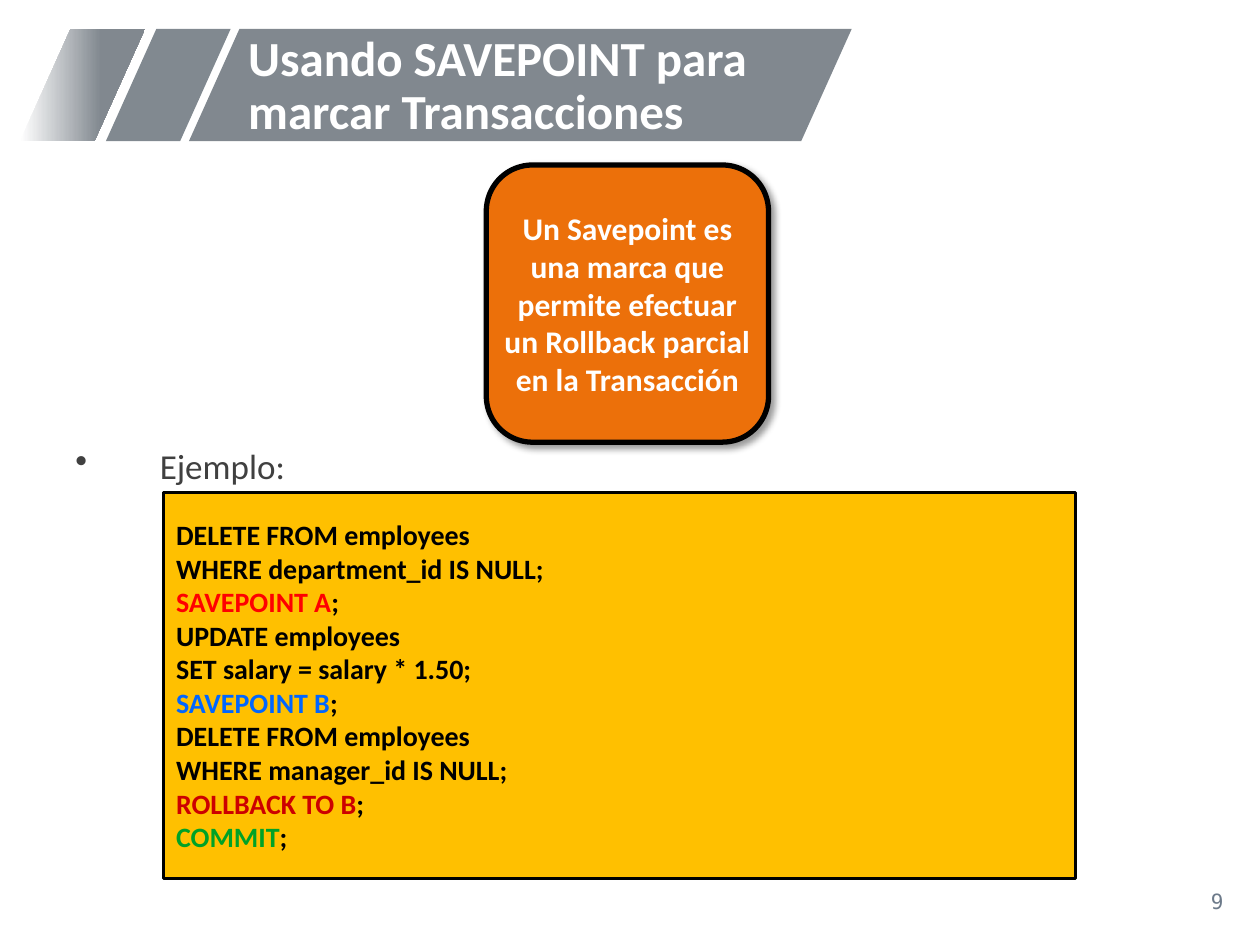
"""Build the slide on marking transactions with SAVEPOINT."""
from lxml import etree
from pptx import Presentation
from pptx import util as u
from pptx.dml.color import RGBColor
from pptx.enum import shapes, text
from pptx.oxml import ns

WHITE = RGBColor(0xFF, 0xFF, 0xFF)
BLACK = RGBColor(0x00, 0x00, 0x00)
BANNER_GRAY = RGBColor(0x81, 0x88, 0x8F)
STRIPE_GRAY = RGBColor(0x81, 0x89, 0x90)
NUMBER_GRAY = RGBColor(0x6C, 0x7A, 0x8A)
TEXT_GRAY = RGBColor(0x40, 0x40, 0x40)
ORANGE = RGBColor(0xEC, 0x70, 0x0A)
AMBER = RGBColor(0xFF, 0xC0, 0x00)
RED = RGBColor(0xFF, 0x00, 0x00)
BLUE = RGBColor(0x00, 0x66, 0xFF)
DARK_RED = RGBColor(0xCC, 0x00, 0x00)
GREEN = RGBColor(0x00, 0xA2, 0x27)


def write(shape, lines, size, color=BLACK, font="Calibri", bold=False,
          align=text.PP_ALIGN.LEFT, spacing=None, side=0.1):
    frame = shape.text_frame
    frame.word_wrap = True
    frame.auto_size = text.MSO_AUTO_SIZE.NONE
    frame.vertical_anchor = text.MSO_ANCHOR.MIDDLE
    frame.margin_left = frame.margin_right = u.Inches(side)
    frame.margin_top = frame.margin_bottom = u.Inches(0.05)
    for index, runs in enumerate(lines):
        paragraph = frame.add_paragraph() if index else frame.paragraphs[0]
        paragraph.alignment = align
        paragraph.line_spacing = spacing
        for words, run_color in runs:
            run = paragraph.add_run()
            run.text = words
            run.font.name = font
            run.font.size = u.Pt(size)
            run.font.bold = bold
            run.font.color.rgb = run_color or color


def add_box(kind, left, top, width, height, fill, line_width=0):
    shape = slide.shapes.add_shape(
        kind, u.Inches(left), u.Inches(top), u.Inches(width), u.Inches(height))
    shape.shadow.inherit = False
    shape.fill.solid()
    shape.fill.fore_color.rgb = fill
    if line_width:
        shape.line.color.rgb = BLACK
        shape.line.width = u.Pt(line_width)
    else:
        shape.line.fill.background()
    return shape


presentation = Presentation()
presentation.slide_width = u.Inches(10)
presentation.slide_height = u.Inches(7.5)
slide = presentation.slides.add_slide(presentation.slide_layouts[5])

for left, width, fill in [(1.5, 5.26, BANNER_GRAY), (0.84, 0.99, STRIPE_GRAY),
                          (0.16, 0.99, BANNER_GRAY)]:
    stripe = add_box(shapes.MSO_SHAPE.PARALLELOGRAM, left, 0.23, width, 0.89, fill)
    stripe.adjustments[0] = 0.45
stripe.fill.gradient()
stripe.fill.gradient_angle = 0
for stop, position, color in zip(stripe.fill.gradient_stops, (0, 0.65), (WHITE, BANNER_GRAY)):
    stop.position = position
    stop.color.rgb = color

title = slide.shapes.title
stripe.element.addnext(title.element)
title.left, title.top = u.Inches(1.87), u.Inches(0.25)
title.width, title.height = u.Inches(5.08), u.Inches(0.89)
write(title, [[("Usando SAVEPOINT para marcar Transacciones", None)]], 28,
      color=WHITE, bold=True, spacing=0.9)

number = slide.shapes.add_textbox(u.Inches(7.56), u.Inches(6.95), u.Inches(2.25), u.Inches(0.4))
write(number, [[("9", None)]], 12, color=NUMBER_GRAY, font="DejaVu Sans Mono",
      align=text.PP_ALIGN.RIGHT)

example = slide.shapes.add_textbox(u.Inches(0.5), u.Inches(3.54), u.Inches(9), u.Inches(0.37))
properties = example.text_frame.paragraphs[0]._p.get_or_add_pPr()
properties.set("marL", str(u.Inches(0.67)))
properties.set("indent", str(-u.Inches(0.67)))
etree.SubElement(properties, ns.qn("a:buChar")).set("char", "•")
write(example, [[("Ejemplo:", None)]], 20, color=TEXT_GRAY, spacing=0.8)

code = add_box(shapes.MSO_SHAPE.RECTANGLE, 1.3, 3.91, 7.24, 3.06, AMBER, 1.75)
write(code, [
    [("DELETE FROM employees", None)],
    [("WHERE department_id IS NULL;", None)],
    [("SAVEPOINT A", RED), (";", None)],
    [("UPDATE employees", None)],
    [("SET salary = salary * 1.50;", None)],
    [("SAVEPOINT B", BLUE), (";", None)],
    [("DELETE FROM employees", None)],
    [("WHERE manager_id IS NULL;", None)],
    [("ROLLBACK TO B", DARK_RED), (";", None)],
    [("COMMIT", GREEN), (";", None)],
], 16, bold=True)

definition = add_box(shapes.MSO_SHAPE.ROUNDED_RECTANGLE, 3.86, 1.31, 2.24, 2.2, ORANGE, 3)
write(definition, [[("Un Savepoint es una marca que permite efectuar un Rollback parcial "
                     "en la Transacción", None)]], 18, color=WHITE, bold=True,
      align=text.PP_ALIGN.CENTER, side=0)
effects = definition.element.spPr.find(ns.qn("a:effectLst"))
shadow = etree.SubElement(effects, ns.qn("a:outerShdw"), blurRad=str(u.Pt(4)),
                          dist=str(u.Pt(3)), dir="2700000", algn="tl", rotWithShape="0")
shadow_color = etree.SubElement(shadow, ns.qn("a:srgbClr"), val=str(BLACK))
etree.SubElement(shadow_color, ns.qn("a:alpha"), val="40000")

presentation.save("out.pptx")
